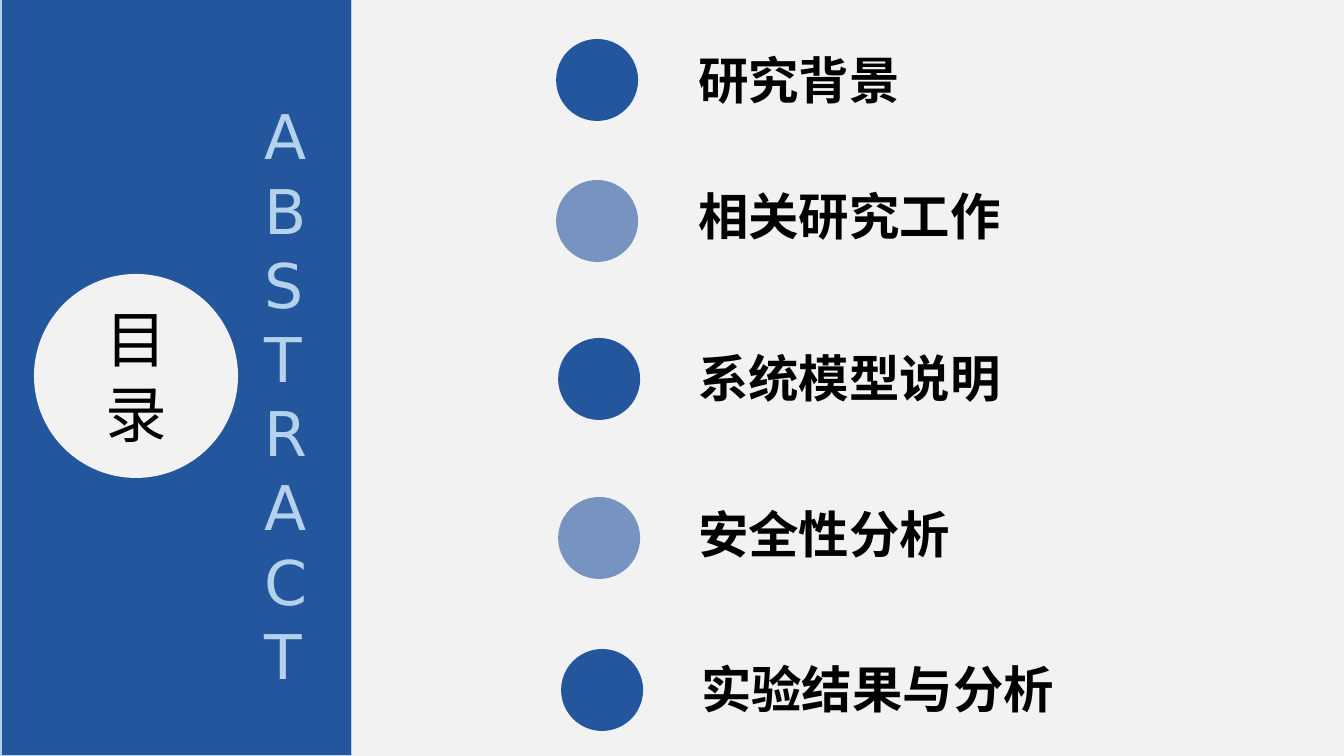
"""Build the contents slide: a blue side panel and five topics with round markers."""
from dataclasses import dataclass

from lxml import etree
from pptx import Presentation, util as u
from pptx.dml.color import RGBColor
from pptx.enum import lang, shapes, text
from pptx.oxml import ns

PIXEL = 914400 / 100.8
FONT = "DejaVu Sans"
BLUE = RGBColor(0x24, 0x56, 0x9D)
PALE_BLUE = RGBColor(0xB5, 0xD2, 0xEC)
LIGHT_GREY = RGBColor(0xF2, 0xF2, 0xF2)
BLACK = RGBColor(0, 0, 0)
MARKER_SIZE = 82
TOPIC_HEIGHT = 72
CHARACTER_WIDTH = 51
TEXT_INSETS = 20


@dataclass(frozen=True)
class Box:
    """A rectangle in pixels."""

    left: int
    top: int
    width: int
    height: int

    def emu(self) -> list[u.Emu]:
        """Return the four lengths in EMU."""
        return [u.Emu(round(pixels * PIXEL))
                for pixels in (self.left, self.top, self.width, self.height)]


@dataclass(frozen=True)
class Topic:
    """A topic with the corners of its marker and label."""

    name: str
    marker_left: int
    marker_top: int
    label_left: int
    label_top: int


TOPICS = [
    Topic("研究背景", 556, 39, 688, 43),
    Topic("相关研究工作", 556, 180, 688, 179),
    Topic("系统模型说明", 558, 338, 688, 341),
    Topic("安全性分析", 558, 497, 688, 497),
    Topic("实验结果与分析", 561, 649, 691, 652),
]


def add_filled(slide, kind: shapes.MSO_SHAPE, box: Box, color: RGBColor, opacity: int = 100):
    """Add a filled shape without outline or shadow."""
    shape = slide.shapes.add_shape(kind, *box.emu())
    shape.shadow.inherit = False
    shape.fill.solid()
    shape.fill.fore_color.rgb = color
    shape.line.fill.background()
    if opacity < 100:
        color_element = shape.element.spPr.find(f".//{ns.qn('a:srgbClr')}")
        etree.SubElement(color_element, ns.qn("a:alpha"), val=str(opacity * 1000))
    return shape


def write_text(shape, words: str, size: int, spacing: int, color: RGBColor,
               bold: bool = False, wrap: bool = True) -> None:
    """Write one left-aligned paragraph from the top of a shape."""
    frame = shape.text_frame
    frame.text = words
    frame.word_wrap = wrap
    frame.auto_size = text.MSO_AUTO_SIZE.NONE
    frame.vertical_anchor = text.MSO_ANCHOR.TOP
    paragraph = frame.paragraphs[0]
    paragraph.alignment = text.PP_ALIGN.LEFT
    paragraph.line_spacing = u.Pt(spacing)
    font = paragraph.font
    font.name, font.size, font.bold = FONT, u.Pt(size), bold
    font.color.rgb = color
    font.language_id = lang.MSO_LANGUAGE_ID.SIMPLIFIED_CHINESE
    properties = frame._txBody.find(f".//{ns.qn('a:defRPr')}")
    etree.SubElement(properties, ns.qn("a:ea"), typeface=FONT)


def add_panel(slide) -> None:
    """Draw the side panel with the title disc and the vertical word."""
    panel = add_filled(slide, shapes.MSO_SHAPE.RECTANGLE, Box(1, 0, 350, 756), BLUE)
    panel.line.color.rgb = PALE_BLUE
    panel.line.width = u.Pt(0)
    disc = add_filled(slide, shapes.MSO_SHAPE.OVAL, Box(34, 274, 204, 204), LIGHT_GREY)
    title = slide.shapes.title
    title.left, title.top, title.width, title.height = Box(95, 296, 82, 159).emu()
    write_text(title, "目录", 44, 53, BLACK)
    disc.element.addnext(title.element)
    abstract = slide.shapes.add_textbox(*Box(255, 93, 82, 607).emu())
    write_text(abstract, "ABSTRACT", 44, 53, PALE_BLUE)


def add_topic(slide, topic: Topic, opacity: int) -> None:
    """Draw the marker and label of a topic."""
    marker = Box(topic.marker_left, topic.marker_top, MARKER_SIZE, MARKER_SIZE)
    add_filled(slide, shapes.MSO_SHAPE.OVAL, marker, BLUE, opacity)
    width = CHARACTER_WIDTH * len(topic.name) + TEXT_INSETS
    box = Box(topic.label_left, topic.label_top, width, TOPIC_HEIGHT)
    label = slide.shapes.add_textbox(*box.emu())
    write_text(label, topic.name, 36, 44, BLACK, bold=True, wrap=False)


def main() -> None:
    """Build and save the presentation."""
    presentation = Presentation()
    presentation.slide_width = u.Inches(13.33)
    presentation.slide_height = u.Inches(7.5)
    slide = presentation.slides.add_slide(presentation.slide_layouts.get_by_name("Title Only"))
    slide.background.fill.solid()
    slide.background.fill.fore_color.rgb = LIGHT_GREY
    add_panel(slide)
    for index, topic in enumerate(TOPICS):
        add_topic(slide, topic, 60 if index % 2 else 100)
    presentation.save("out.pptx")


main()
